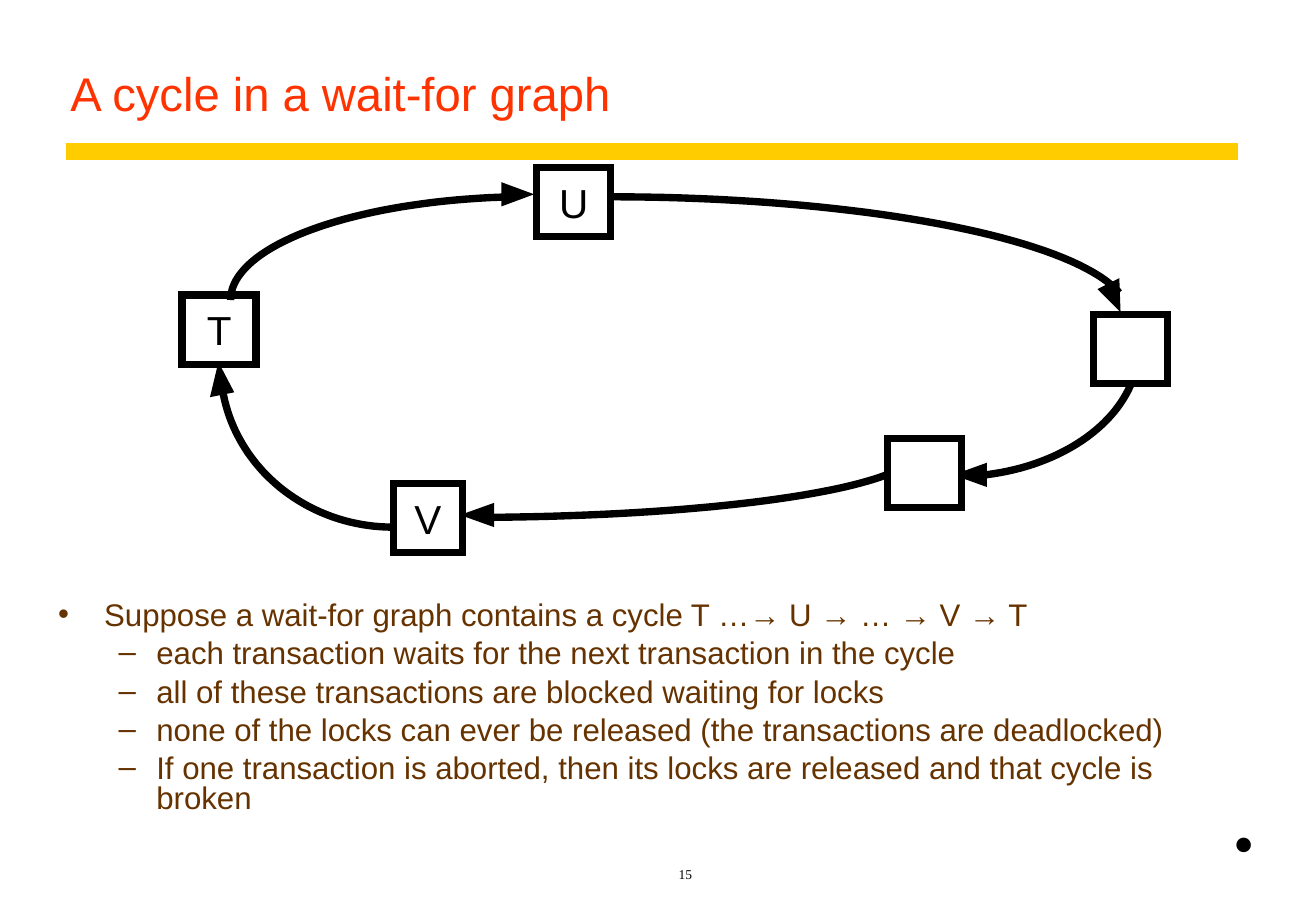
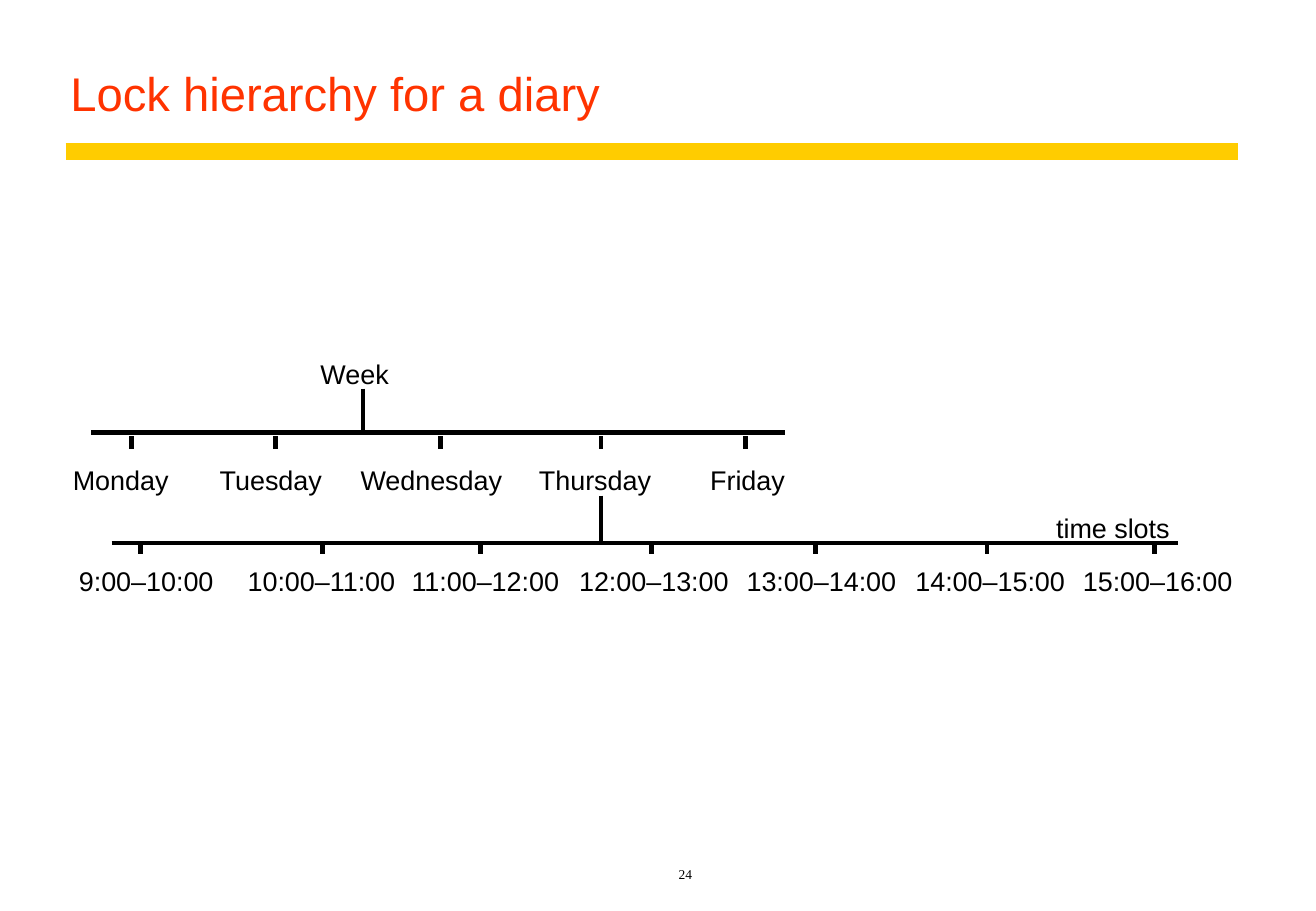
from dataclasses import dataclass
from typing import Optional

from lxml.etree import SubElement
from pptx import Presentation
from pptx.dml.color import RGBColor
from pptx.enum.shapes import MSO_CONNECTOR, MSO_SHAPE
from pptx.enum.text import MSO_ANCHOR, PP_ALIGN
from pptx.oxml.ns import qn
from pptx.util import Inches, Pt

RED = RGBColor(0xFF, 0x33, 0x00)
GOLD = RGBColor(0xFF, 0xCC, 0x00)
BROWN = RGBColor(0x66, 0x33, 0x00)
BLACK = RGBColor(0x00, 0x00, 0x00)
WHITE = RGBColor(0xFF, 0xFF, 0xFF)

SANS = "Arial"
SERIF = "Times New Roman"
GRAPH_LINE = 4.37
AXIS_LINE = 2.86
CURVE_STEPS = 40
LABEL_WIDTH = 1.3

Point = tuple[float, float]


@dataclass(frozen=True)
class Node:
    x: float
    y: float
    w: float = 0.61
    label: str = ""


@dataclass(frozen=True)
class Edge:
    curve: tuple[Point, Point, Point, Point]
    head: tuple[Point, Point, Point]


@dataclass(frozen=True)
class Bullet:
    text: str
    level: int = 1


@dataclass(frozen=True)
class Mark:
    label: str
    left: float
    tick: float


@dataclass(frozen=True)
class Axis:
    left: float
    right: float
    y: float
    tick_top: float
    tick_bottom: float
    label_top: float
    marks: list[Mark]


LABELLED_NODES = [
    Node(4.42, 1.38, label="U"),
    Node(3.24, 3.98, 0.57, "V"),
    Node(1.5, 2.43, label="T"),
]
BLANK_NODES = [Node(7.31, 3.61), Node(9.01, 2.59)]

EDGES = [
    Edge(((1.9, 2.47), (1.9, 2.02), (2.92, 1.65), (4.23, 1.62)),
         ((4.13, 1.7), (4.13, 1.5), (4.4, 1.6))),
    Edge(((3.24, 4.34), (2.53, 4.34), (1.93, 3.85), (1.83, 3.19)),
         ((1.93, 3.23), (1.73, 3.27), (1.8, 2.98))),
    Edge(((5.01, 1.62), (7.06, 1.62), (8.82, 1.95), (9.22, 2.41)),
         ((9.04, 2.38), (9.22, 2.29), (9.23, 2.57))),
    Edge(((9.38, 2.86), (9.38, 3.4), (8.8, 3.86), (8.02, 3.92)),
         ((8.13, 3.81), (8.13, 4.01), (7.85, 3.91))),
    Edge(((7.55, 3.71), (7.55, 4.01), (5.96, 4.25), (3.96, 4.26)),
         ((4.07, 4.14), (4.07, 4.34), (3.79, 4.24))),
]

BULLETS = [
    Bullet("Suppose a wait-for graph contains a cycle T …→ U → … → V → T", 0),
    Bullet("each transaction waits for the next transaction in the cycle"),
    Bullet("all of these transactions are blocked waiting for locks"),
    Bullet("none of the locks can ever be released (the transactions are deadlocked)"),
    Bullet("If one transaction is aborted, then its locks are released and that cycle is broken"),
]
BULLET_STYLES = [("•", 0.38, -0.38), ("–", 0.81, -0.31)]

WEEK = Axis(0.75, 6.47, 3.56, 3.59, 3.7, 3.82, [
    Mark("Monday", 0.6, 1.08),
    Mark("Tuesday", 1.81, 2.27),
    Mark("Wednesday", 2.97, 3.63),
    Mark("Thursday", 4.44, 4.95),
    Mark("Friday", 5.85, 6.14),
])
SLOTS = Axis(0.92, 9.7, 4.47, 4.47, 4.56, 4.65, [
    Mark("9:00–10:00", 0.65, 1.16),
    Mark("10:00–11:00", 2.04, 2.66),
    Mark("11:00–12:00", 3.39, 3.96),
    Mark("12:00–13:00", 4.77, 5.37),
    Mark("13:00–14:00", 6.15, 6.72),
    Mark("14:00–15:00", 7.54, 8.13),
    Mark("15:00–16:00", 8.92, 9.51),
])


def style_runs(p, size: float, color: RGBColor = BLACK, font: str = SANS) -> None:
    for r in p.runs:
        r.font.size = Pt(size)
        r.font.name = font
        r.font.color.rgb = color


def add_line(s, start: Point, end: Point, width: float = AXIS_LINE,
             color: RGBColor = BLACK) -> None:
    line = s.shapes.add_connector(
        MSO_CONNECTOR.STRAIGHT, *(Inches(v) for v in (*start, *end)))
    line.line.width = Pt(width)
    line.line.color.rgb = color
    SubElement(line._element.spPr, qn("a:effectLst"))


def add_text(s, text: str, box: tuple[float, float, float, float], size: float,
             font: str = SANS, inset: Optional[Point] = None):
    tf = s.shapes.add_textbox(*(Inches(v) for v in box)).text_frame
    tf.word_wrap = True
    if inset is not None:
        tf.margin_left = tf.margin_right = Inches(inset[0])
        tf.margin_top = tf.margin_bottom = Inches(inset[1])
    tf.text = text
    style_runs(tf.paragraphs[0], size, font=font)
    return tf


def add_slide(prs, title: str, number: int):
    s = prs.slides.add_slide(prs.slide_layouts[5])
    add_line(s, (0.54, 1.25), (10.2, 1.25), 10, GOLD)
    sp = s.shapes.title
    sp.left, sp.top, sp.width, sp.height = (
        Inches(v) for v in (0.48, 0.25, 9.72, 0.8))
    tf = sp.text_frame
    tf.text = title
    tf.vertical_anchor = MSO_ANCHOR.BOTTOM
    p = tf.paragraphs[0]
    p.alignment = PP_ALIGN.LEFT
    p.line_spacing = 0.9
    style_runs(p, 28, RED)
    tf = add_text(s, str(number), (2.35, 7, 6.59, 0.31), 8, SERIF)
    tf.vertical_anchor = MSO_ANCHOR.BOTTOM
    tf.paragraphs[0].alignment = PP_ALIGN.CENTER
    return s


def set_outline(sp) -> None:
    sp.line.color.rgb = BLACK
    sp.line.width = Pt(GRAPH_LINE)
    SubElement(sp.line._get_or_add_ln(), qn("a:miter"), lim="800000")


def add_node(s, node: Node) -> None:
    sp = s.shapes.add_shape(
        MSO_SHAPE.RECTANGLE, *(Inches(v) for v in (node.x, node.y, node.w, 0.57)))
    sp.shadow.inherit = False
    sp.fill.solid()
    sp.fill.fore_color.rgb = WHITE
    set_outline(sp)
    if node.label:
        tf = sp.text_frame
        tf.margin_left = tf.margin_right = tf.margin_top = tf.margin_bottom = 0
        tf.vertical_anchor = MSO_ANCHOR.MIDDLE
        tf.text = node.label
        tf.paragraphs[0].alignment = PP_ALIGN.CENTER
        style_runs(tf.paragraphs[0], 24)


def curve_point(curve: tuple[Point, Point, Point, Point], t: float) -> Point:
    weights = ((1 - t) ** 3, 3 * t * (1 - t) ** 2, 3 * t ** 2 * (1 - t), t ** 3)
    return (sum(w * x for w, (x, _) in zip(weights, curve)),
            sum(w * y for w, (_, y) in zip(weights, curve)))


def add_freeform(s, points: list[Point], close: bool):
    start, *rest = [(Inches(x), Inches(y)) for x, y in points]
    builder = s.shapes.build_freeform(*start)
    builder.add_line_segments(rest, close=close)
    sp = builder.convert_to_shape()
    sp.shadow.inherit = False
    return sp


def add_edge(s, edge: Edge) -> None:
    steps = range(CURVE_STEPS + 1)
    sp = add_freeform(
        s, [curve_point(edge.curve, i / CURVE_STEPS) for i in steps], False)
    sp.fill.background()
    set_outline(sp)
    head = add_freeform(s, list(edge.head), True)
    head.fill.solid()
    head.fill.fore_color.rgb = BLACK
    head.line.fill.background()


def add_bullets(s, bullets: list[Bullet]) -> None:
    tf = s.shapes.add_textbox(
        *(Inches(v) for v in (0.38, 4.91, 9.94, 2.1))).text_frame
    tf.word_wrap = True
    for i, bullet in enumerate(bullets):
        p = tf.add_paragraph() if i else tf.paragraphs[0]
        p.text = bullet.text
        p.level = bullet.level
        char, margin, indent = BULLET_STYLES[bullet.level]
        pPr = p._p.get_or_add_pPr()
        pPr.set("marL", str(Inches(margin)))
        pPr.set("indent", str(Inches(indent)))
        SubElement(SubElement(pPr, qn("a:buClr")), qn("a:srgbClr"), val=str(BROWN))
        SubElement(pPr, qn("a:buFont"), typeface=SANS)
        SubElement(pPr, qn("a:buChar"), char=char)
        p.line_spacing = 0.8
        if i:
            p.space_before = Pt(5)
        style_runs(p, 18.5, BROWN)


def add_label(s, text: str, left: float, top: float) -> None:
    add_text(s, text, (left, top, LABEL_WIDTH, 0.27), 16, inset=(0, 0))


def add_axis(s, axis: Axis) -> None:
    add_line(s, (axis.left, axis.y), (axis.right, axis.y))
    for mark in axis.marks:
        add_line(s, (mark.tick, axis.tick_top), (mark.tick, axis.tick_bottom))
        add_label(s, mark.label, mark.left, axis.label_top)


def build_cycle(prs) -> None:
    s = add_slide(prs, "A cycle in a wait-for graph", 15)
    add_bullets(s, BULLETS)
    for node in LABELLED_NODES:
        add_node(s, node)
    for edge in EDGES:
        add_edge(s, edge)
    for node in BLANK_NODES:
        add_node(s, node)
    add_text(s, "•", (10.06, 6.58, 0.37, 0.7), 36, SERIF)


def build_diary(prs) -> None:
    s = add_slide(prs, "Lock hierarchy for a diary", 24)
    add_label(s, "Week", 2.64, 2.94)
    add_line(s, (2.99, 3.2), (2.99, WEEK.y))
    add_axis(s, WEEK)
    add_line(s, (4.95, 4.08), (4.95, SLOTS.y))
    add_axis(s, SLOTS)
    add_label(s, "time slots", 8.7, 4.21)


def main() -> None:
    prs = Presentation()
    prs.slide_width = Inches(10.84)
    prs.slide_height = Inches(7.5)
    build_cycle(prs)
    build_diary(prs)
    prs.save("out.pptx")


if __name__ == "__main__":
    main()
